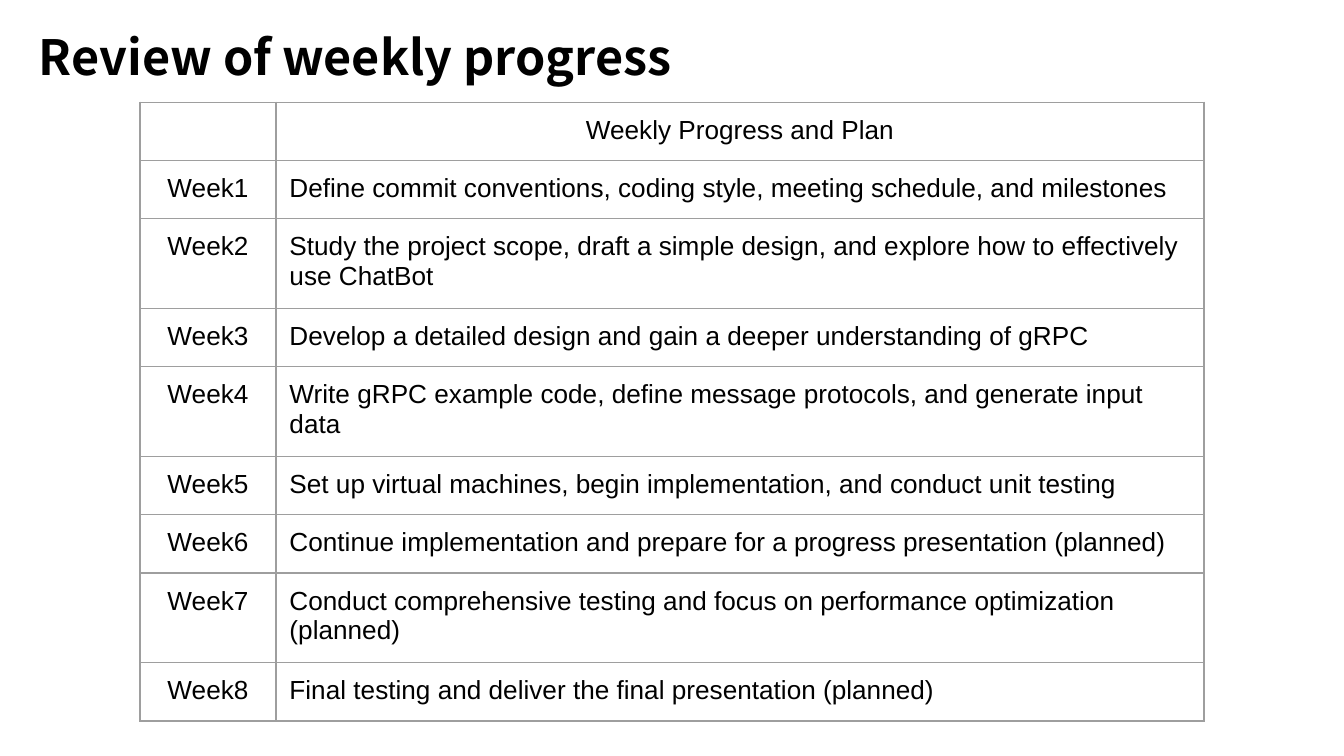
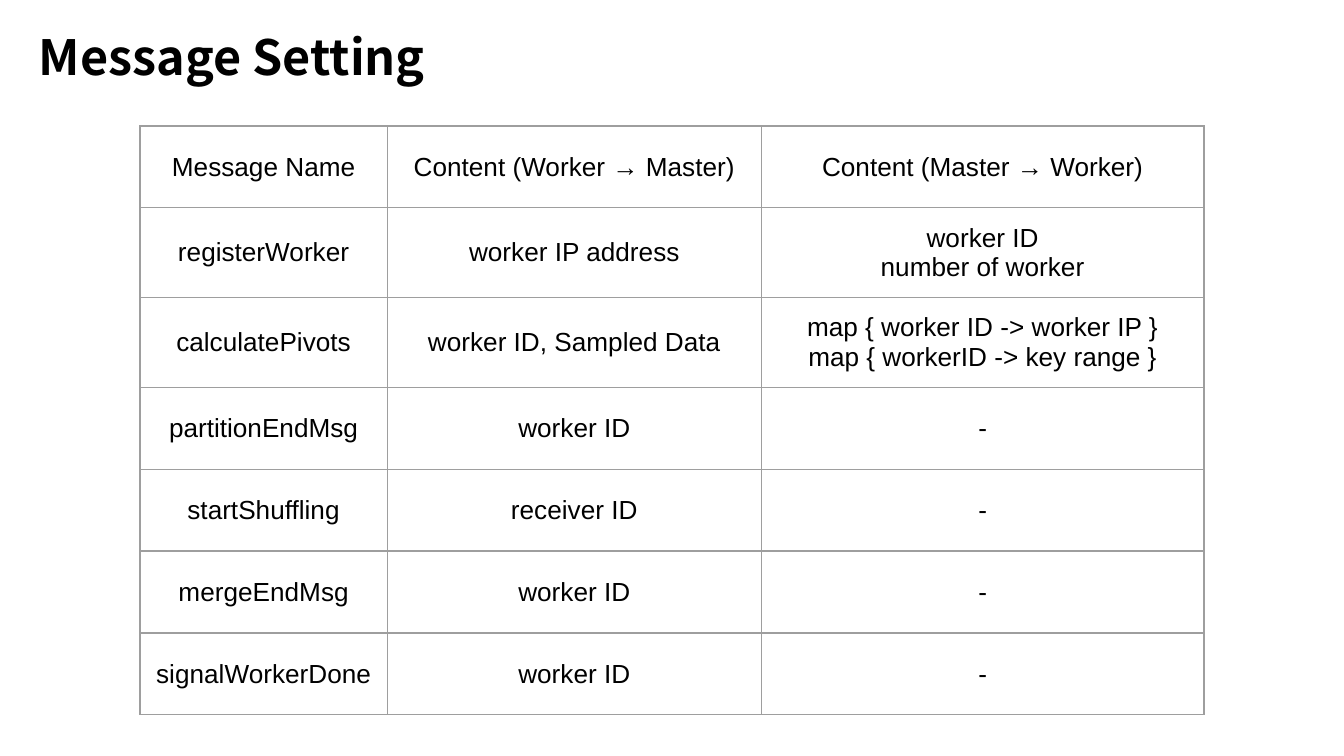
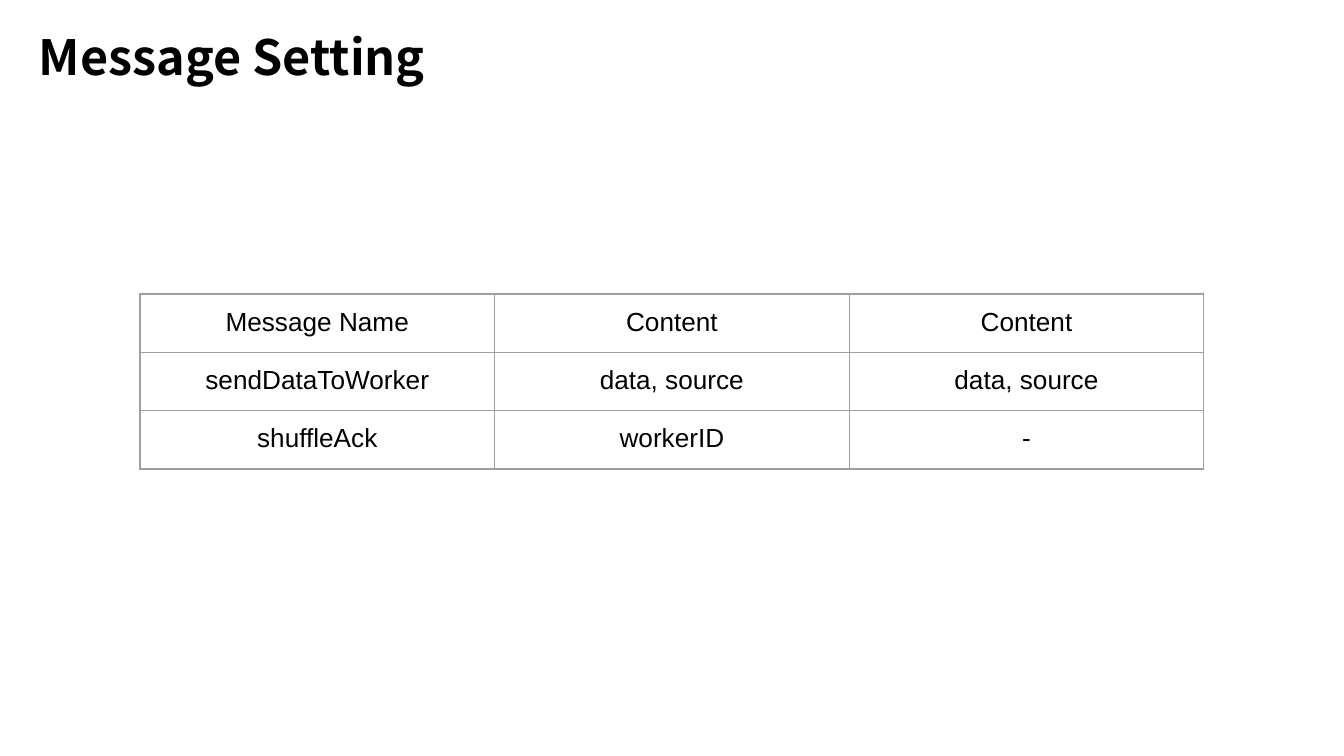
from lxml import etree
from pptx import Presentation
from pptx.dml.color import RGBColor
from pptx.enum import text
from pptx.oxml import ns
from pptx.util import Pt

COLORS = {"paper": "FFFFFF", "ink": "000000", "grid": "9E9E9E"}
TITLE_FONT, BODY_FONT = "Noto Sans CJK KR", "Arial"
TITLE_SIZE, BODY_SIZE = 26, 14
INSET = 7.2
GRID_WIDTH = 0.75
TABLE_LEFT = 75
CENTER, LEFT = text.PP_ALIGN.CENTER, text.PP_ALIGN.LEFT
TOP, MIDDLE = text.MSO_ANCHOR.TOP, text.MSO_ANCHOR.MIDDLE

WEEKLY_PLANS = [
    "Define commit conventions, coding style, meeting schedule, and milestones",
    "Study the project scope, draft a simple design, and explore how to effectively use ChatBot",
    "Develop a detailed design and gain a deeper understanding of gRPC",
    "Write gRPC example code, define message protocols, and generate input data",
    "Set up virtual machines, begin implementation, and conduct unit testing",
    "Continue implementation and prepare for a progress presentation (planned)",
    "Conduct comprehensive testing and focus on performance optimization (planned)",
    "Final testing and deliver the final presentation (planned)",
]
MASTER_MESSAGES = [
    ("Message Name", "Content (Worker → Master)", "Content (Master → Worker)"),
    ("registerWorker", "worker IP address", "worker ID\nnumber of worker"),
    ("calculatePivots", "worker ID, Sampled Data",
     "map { worker ID -> worker IP }\nmap { workerID -> key range }"),
    ("partitionEndMsg", "worker ID", "-"),
    ("startShuffling", "receiver ID", "-"),
    ("mergeEndMsg", "worker ID", "-"),
    ("signalWorkerDone", "worker ID", "-"),
]
WORKER_MESSAGES = [
    ("Message Name", "Content", "Content"),
    ("sendDataToWorker", "data, source", "data, source"),
    ("shuffleAck", "workerID", "-"),
]


def rgb(name):
    return RGBColor.from_string(COLORS[name])


def set_insets(box):
    box.margin_left = box.margin_right = Pt(INSET)
    box.margin_top = box.margin_bottom = Pt(INSET)


def add_run(p, words, font, size, bold=False):
    r = p.add_run()
    r.text = words
    r.font.name, r.font.size, r.font.bold = font, Pt(size), bold
    r.font.color.rgb = rgb("ink")


def add_titled_slide(prs, title, width, height):
    s = prs.slides.add_slide(prs.slide_layouts[6])
    s.background.fill.solid()
    s.background.fill.fore_color.rgb = rgb("paper")
    tf = s.shapes.add_textbox(Pt(13.7), Pt(7.2), Pt(width), Pt(height)).text_frame
    tf.word_wrap = True
    tf.vertical_anchor = TOP
    set_insets(tf)
    add_run(tf.paragraphs[0], title, TITLE_FONT, TITLE_SIZE, bold=True)
    return s


def add_borders(cell):
    tc_pr = cell._tc.get_or_add_tcPr()
    for side in ("lnL", "lnR", "lnT", "lnB"):
        ln = etree.SubElement(tc_pr, ns.qn(f"a:{side}"), w=str(Pt(GRID_WIDTH)))
        fill = etree.SubElement(ln, ns.qn("a:solidFill"))
        etree.SubElement(fill, ns.qn("a:srgbClr"), val=COLORS["grid"])


def fill_cell(cell, words, align, anchor):
    set_insets(cell)
    cell.vertical_anchor = anchor
    add_borders(cell)
    cell.fill.background()
    tf = cell.text_frame
    for i, line in enumerate(words.split("\n")):
        p = tf.add_paragraph() if i else tf.paragraphs[0]
        p.alignment = align
        if line:
            add_run(p, line, BODY_FONT, BODY_SIZE)
        else:  # keeps an empty cell from growing its row
            etree.SubElement(p._p, ns.qn("a:endParaRPr"), sz=str(BODY_SIZE * 100))


def add_grid(s, top, widths, row_height, rows, anchor=TOP, align_at=None):
    """Add a table; align_at(row, column) gives the alignment, centred if absent."""
    table = s.shapes.add_table(
        len(rows), len(widths), Pt(TABLE_LEFT), Pt(top),
        Pt(sum(widths)), Pt(row_height * len(rows))).table
    table.first_row = table.horz_banding = False
    for column, width in zip(table.columns, widths):
        column.width = Pt(width)
    for i, row in enumerate(rows):
        table.rows[i].height = Pt(row_height)
        for j, words in enumerate(row):
            align = align_at(i, j) if align_at else CENTER
            fill_cell(table.cell(i, j), words, align, anchor)


def add_progress_slide(prs):
    s = add_titled_slide(prs, "Review of weekly progress", 363.6, 47.5)
    rows = [("", "Weekly Progress and Plan")]
    rows += [(f"Week{n}", plan) for n, plan in enumerate(WEEKLY_PLANS, 1)]
    add_grid(s, 54.7, (72.9, 497.1), 31.1, rows,
             align_at=lambda i, j: LEFT if i and j else CENTER)


def add_message_slide(prs, top, widths, row_height, rows, anchor=TOP):
    s = add_titled_slide(prs, "Message Setting", 445, 51.8)
    add_grid(s, top, widths, row_height, rows, anchor)


def main():
    prs = Presentation()
    prs.slide_width, prs.slide_height = Pt(720), Pt(405)
    add_progress_slide(prs)
    add_message_slide(prs, 67.5, (132.5, 200.4, 237.1), 43.9, MASTER_MESSAGES, MIDDLE)
    add_message_slide(prs, 157.5, (190, 190, 190), 30, WORKER_MESSAGES)
    prs.save("out.pptx")


if __name__ == "__main__":
    main()
